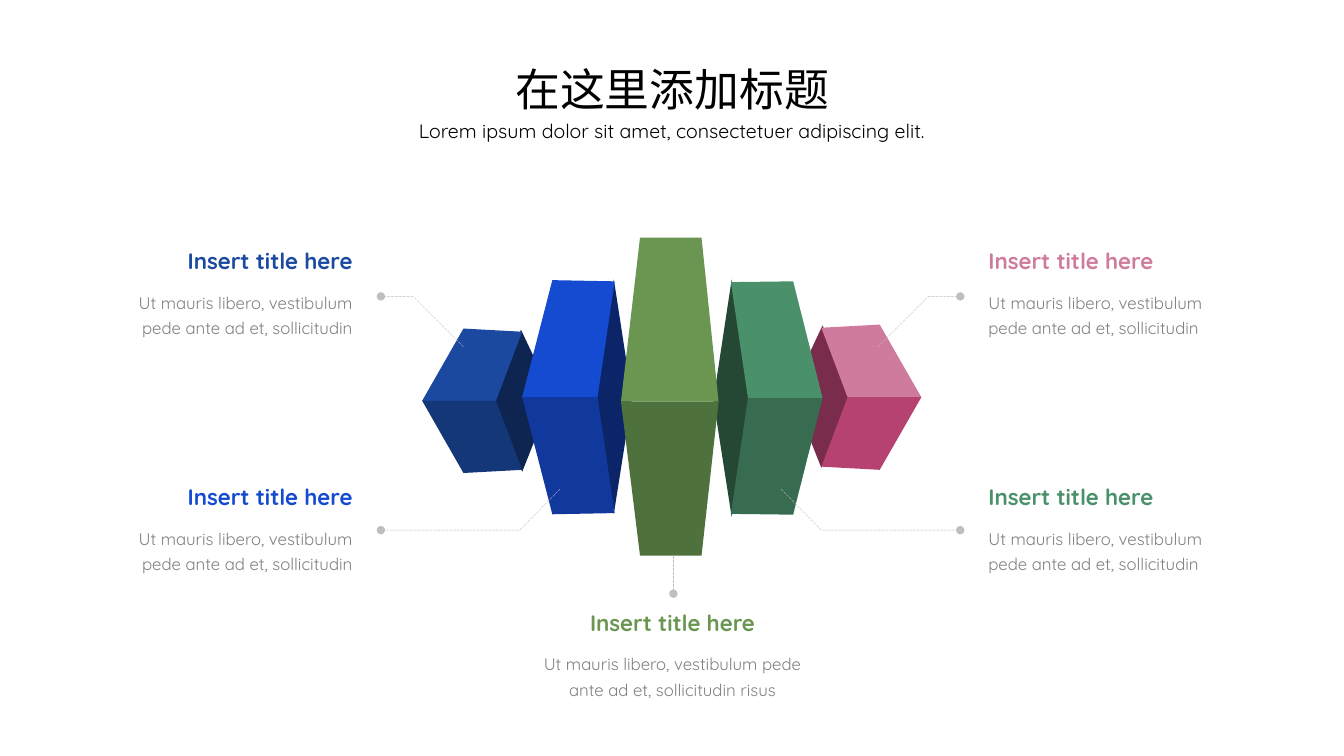
from lxml import etree
from pptx import Presentation
from pptx.dml.color import RGBColor
from pptx.enum.dml import MSO_LINE
from pptx.enum.shapes import MSO_CONNECTOR
from pptx.enum.text import MSO_ANCHOR, MSO_AUTO_SIZE, PP_ALIGN
from pptx.oxml.ns import qn
from pptx.util import Cm, Pt

LEFT, CENTER, RIGHT = PP_ALIGN.LEFT, PP_ALIGN.CENTER, PP_ALIGN.RIGHT
TOP, BOTTOM = MSO_ANCHOR.TOP, MSO_ANCHOR.BOTTOM
FIT_SHAPE = MSO_AUTO_SIZE.SHAPE_TO_FIT_TEXT
LONG_DASH = MSO_LINE.LONG_DASH
STRAIGHT = MSO_CONNECTOR.STRAIGHT

MIRROR_WIDTH = 33.8
UPPER_ROW, LOWER_ROW = 6.1, 12.04
LEFT_EDGE = 9.14
CAPTION = "Insert title here"
DETAIL = "Ut mauris libero, vestibulum pede ante ad et, sollicitudin"

SIDES = [
    ("792C4B", [(20.73, 8.2), (19.94, 9.88), (20.7, 11.79), (21.46, 10.01)]),
    ("0D2550", [(13.13, 8.31), (13.92, 9.98), (13.16, 11.89), (12.42, 10.11)]),
    ("254835", [(18.44, 7.04), (17.98, 10.08), (18.44, 13.03), (18.87, 9.98)]),
    ("0B2568", [(15.47, 7.04), (15.93, 10.03), (15.47, 12.95), (15.04, 9.96)]),
    (None, []),
]
FACES = [
    ("CF7B9D", "B64271", 1, [(20.7, 8.26), (21.36, 10.01), (23.22, 10.01), (22.17, 8.18)]),
    ("1B49A0", "143778", 1, [(13.16, 8.36), (12.5, 10.1), (10.64, 10.1), (11.68, 8.28)]),
    ("4A906A", "386C50", 1, [(18.42, 7.11), (18.85, 10.03), (20.73, 10.03), (19.99, 7.09)]),
    ("154BD1", "10389D", 1, [(15.49, 7.09), (15.06, 10.01), (13.16, 10.01), (13.92, 7.06)]),
    ("6A9651", "4F713D", 0.94, [(16.13, 5.99), (15.65, 10.12), (18.11, 10.12), (17.68, 5.99)]),
]
LEADERS = [
    [(11.68, 8.74), (10.41, 7.47), (9.6, 7.47)],
    [(14.12, 12.32), (13.1, 13.36), (9.6, 13.36)],
]
CAPTIONS = [
    ("1B49A0", UPPER_ROW, RIGHT),
    ("154BD1", LOWER_ROW, RIGHT),
    ("4A906A", LOWER_ROW, LEFT),
    ("CF7B9D", UPPER_ROW, LEFT),
]


def color(value):
    return RGBColor.from_string(value)


class BlockSlide:
    latin = "Quicksand"
    chinese = "Noto Sans CJK SC"
    gray = "808080"
    leader_gray = "BFBFBF"

    def __init__(self, deck):
        self.page = deck.slides.add_slide(deck.slide_layouts[0])
        self.shapes = self.page.shapes

    def set_text(self, box, text, size, fill, align, anchor=TOP, bold=False,
                 font=None, spacing=None, wrap=True):
        frame = box.text_frame
        frame.word_wrap = wrap
        frame.auto_size = FIT_SHAPE
        frame.vertical_anchor = anchor
        para = frame.paragraphs[0]
        para.alignment = align
        para.space_before = Pt(0)
        if spacing:
            para.line_spacing = Pt(spacing)
        span = para.add_run()
        span.text = text
        span.font.size = Pt(size)
        span.font.bold = bold
        span.font.color.rgb = color(fill)
        span.font.name = font or self.latin
        if font:
            latin = span.font._element.find(qn("a:latin"))
            east = etree.Element(qn("a:ea"), typeface=font)
            latin.addnext(east)

    def heading(self, box, place, text, size, font=None):
        box.left, box.top, box.width, box.height = [Cm(n) for n in place]
        self.set_text(box, text, size, "000000", CENTER, font=font, wrap=False)

    def textbox(self, left, top, width, height):
        return self.shapes.add_textbox(Cm(left), Cm(top), Cm(width), Cm(height))

    def caption(self, fill, top, align, anchor_x, width=6.45, detail=DETAIL):
        share = {LEFT: 0, CENTER: 0.5, RIGHT: 1}[align]
        box = self.textbox(anchor_x - share * 5.13, top, 5.13, 0.94)
        self.set_text(box, CAPTION, 16, fill, align, BOTTOM, bold=True)
        box = self.textbox(anchor_x - share * width, top + 1.02, width, 1.47)
        self.set_text(box, detail, 12, self.gray, align, spacing=18)

    def outline(self, points, closed):
        corners = [(Cm(x), Cm(y)) for x, y in points]
        builder = self.shapes.build_freeform(*corners[0])
        builder.add_line_segments(corners[1:], close=closed)
        shape = builder.convert_to_shape()
        shape.shadow.inherit = False
        return shape

    def panel(self, fill, points):
        shape = self.outline(points, True)
        shape.fill.solid()
        shape.fill.fore_color.rgb = color(fill)
        shape.line.fill.background()

    def block(self, side, face):
        side_fill, side_points = side
        upper_fill, lower_fill, drop, points = face
        if side_points:
            self.panel(side_fill, side_points)
        joint = points[1][1]
        self.panel(upper_fill, points)
        self.panel(lower_fill, [(x, joint + (joint - y) * drop) for x, y in points])

    def dot_line(self, shape):
        shape.line.color.rgb = color(self.leader_gray)
        shape.line.width = Pt(0.25)
        shape.line.dash_style = LONG_DASH
        outline = shape._element.spPr.find(qn("a:ln"))
        etree.SubElement(outline, qn("a:tailEnd"), type="oval")

    def leader(self, points):
        shape = self.outline(points, False)
        shape.fill.background()
        self.dot_line(shape)

    def stem(self, x, top, bottom):
        line = self.shapes.add_connector(STRAIGHT, Cm(x), Cm(top), Cm(x), Cm(bottom))
        self.dot_line(line)
        etree.SubElement(line._element.spPr, qn("a:effectLst"))


def main():
    deck = Presentation()
    deck.slide_width, deck.slide_height = Cm(33.87), Cm(19.05)
    slide = BlockSlide(deck)
    title, subtitle = slide.page.placeholders
    slide.heading(title, (12.7, 1.42, 8.48, 1.63), "在这里添加标题", 32, slide.chinese)
    slide.heading(subtitle, (9.91, 2.87, 14.05, 0.86),
                  "Lorem ipsum dolor sit amet, consectetuer adipiscing elit.", 14)

    for side, face in zip(SIDES, FACES):
        slide.block(side, face)
    for points in LEADERS:
        slide.leader(points)
        slide.leader([(MIRROR_WIDTH - x, y) for x, y in points])
    slide.stem(16.97, 14.02, 14.96)

    for fill, top, align in CAPTIONS:
        edge = LEFT_EDGE if align == RIGHT else MIRROR_WIDTH - LEFT_EDGE
        slide.caption(fill, top, align, edge)
    slide.caption("6A9651", 15.21, CENTER, 16.95, 7.57, DETAIL + " risus")
    deck.save("out.pptx")


if __name__ == "__main__":
    main()
